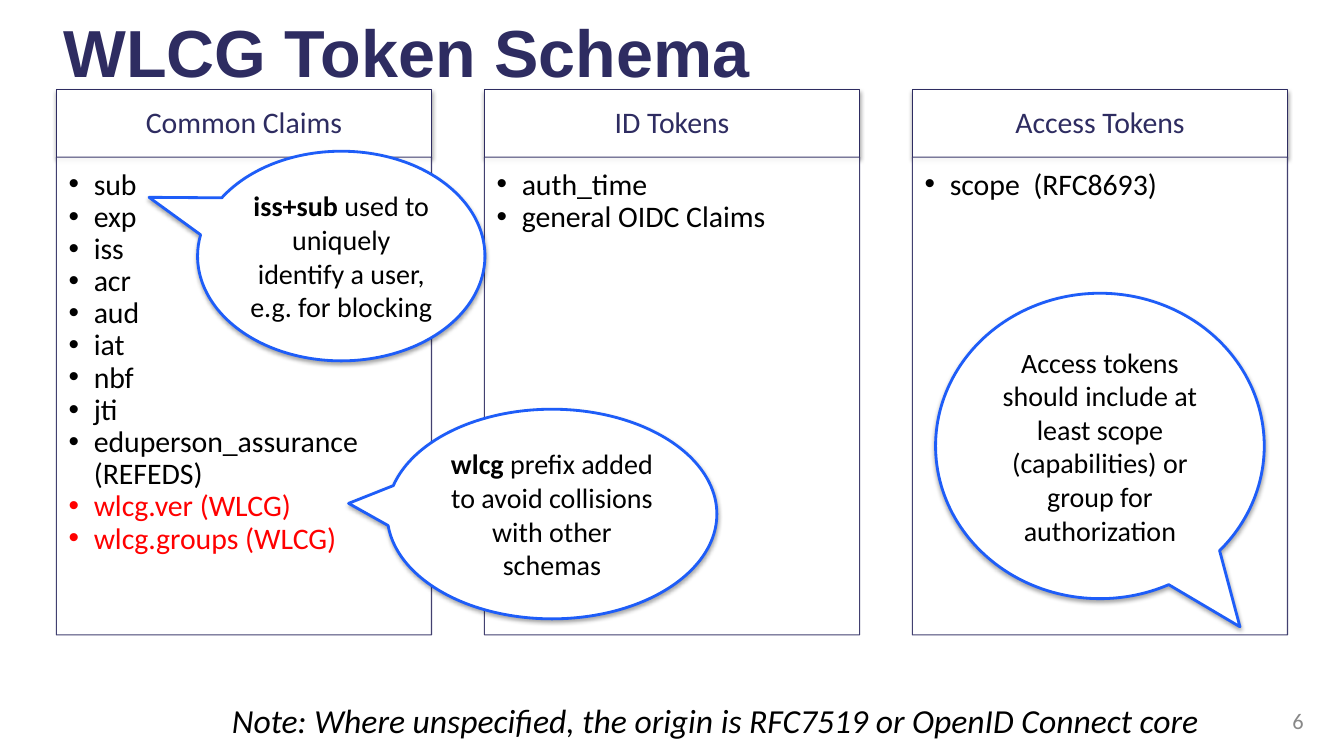
from lxml import etree
from pptx import Presentation
from pptx.dml.color import RGBColor
from pptx.enum.shapes import MSO_SHAPE as SHAPE
from pptx.enum.text import MSO_ANCHOR as ANCHOR, PP_ALIGN as ALIGN
from pptx.oxml import parse_xml
from pptx.oxml.ns import nsdecls, qn
from pptx.util import Inches, Pt

NAVY, BLUE, BLACK, RED, GREY, WHITE = "2E2C61", "1E5DF8", "000000", "FF0000", "888888", "FFFFFF"


def box(kind, at, line, width, shadow=False):
    """White outlined shape, with an optional soft shadow below it."""
    sp = s.shapes.add_shape(kind, *map(Inches, at))
    sp.fill.solid()
    sp.fill.fore_color.rgb = RGBColor.from_string(WHITE)
    sp.line.color.rgb = RGBColor.from_string(line)
    sp.line.width = Pt(width)
    sp.shadow.inherit = False
    if shadow:
        sp._element.spPr.find(qn("a:effectLst")).append(parse_xml(
            f'<a:outerShdw {nsdecls("a")} blurRad="{Pt(3)}" dist="{Pt(1.8)}" dir="5400000" rotWithShape="0">'
            '<a:srgbClr val="000000"><a:alpha val="34000"/></a:srgbClr></a:outerShdw>'))
    return sp


def write(sp, paras, size, align=ALIGN.LEFT, anchor=ANCHOR.MIDDLE, font="Calibri",
          insets=(0.07, 0.07, 0.07, 0.07), spacing=None):
    """Fill a shape with paragraphs, each a (colour, runs) pair."""
    tf = sp.text_frame
    tf.word_wrap = True
    tf.vertical_anchor = anchor
    tf.margin_left, tf.margin_top, tf.margin_right, tf.margin_bottom = map(Inches, insets)
    for i, (color, runs) in enumerate(paras):
        p = tf.add_paragraph() if i else tf.paragraphs[0]
        p.alignment = align
        if spacing:
            p.line_spacing = spacing
        p.font.size, p.font.name = Pt(size), font
        p.font.color.rgb = RGBColor.from_string(color)
        for text in runs:
            p.add_run().text = text
    return tf.paragraphs


prs = Presentation()
prs.slide_width, prs.slide_height = Inches(13.33), Inches(7.5)
s = prs.slides.add_slide(prs.slide_layouts[6])

# Three columns: header above a bulleted list
LEFT, TOP, COL_W, PITCH, HEAD_H, BODY_H = 0.56, 0.89, 3.72, 4.245, 0.67, 4.74
columns = [
    ("Common Claims", ["sub", "exp", "iss", "acr", "aud", "iat", "nbf", "jti",
                       "eduperson_assurance (REFEDS)", "wlcg.ver (WLCG)", "wlcg.groups (WLCG)"]),
    ("ID Tokens", ["auth_time", "general OIDC Claims"]),
    ("Access Tokens", ["scope  (RFC8693)"]),
]
for i, (heading, claims) in enumerate(columns):
    x = LEFT + i * PITCH
    head = box(SHAPE.RECTANGLE, (x, TOP, COL_W, HEAD_H), NAVY, 0.75, shadow=True)
    write(head, [(NAVY, [heading])], 21.3, ALIGN.CENTER, insets=(0.17, 0.09, 0.17, 0.09), spacing=0.9)

    body = box(SHAPE.RECTANGLE, (x, TOP + HEAD_H, COL_W, BODY_H), NAVY, 0.75)
    for color in body._element.spPr.iter(qn("a:srgbClr")):
        etree.SubElement(color, qn("a:alpha")).set("val", "89000")
    paras = [(RED if c.startswith("wlcg") else BLACK, [c]) for c in claims]
    for p, (color, _) in zip(write(body, paras, 21.3, anchor=ANCHOR.TOP,
                                   insets=(0.12, 0.12, 0.17, 0.19), spacing=0.9), paras):
        p.level = 1
        pPr = p._p.get_or_add_pPr()
        pPr.set("marL", str(Inches(0.25)))
        pPr.set("indent", str(-Inches(0.25)))
        for bullet in (f'<a:buClr {nsdecls("a")}><a:srgbClr val="{color}"/></a:buClr>',
                       f'<a:buFont {nsdecls("a")} typeface="Arial"/>',
                       f'<a:buChar {nsdecls("a")} char="•"/>'):
            pPr.find(qn("a:defRPr")).addprevious(parse_xml(bullet))

# Title, note and slide number
texts = [
    ((0.56, 0.09, 11.56, 0.83), "WLCG Token Schema", NAVY, 47.5, ALIGN.LEFT, "Arial"),
    ((2.23, 6.87, 9.97, 0.54), "Note: Where unspecified, the origin is RFC7519 or OpenID Connect core",
     BLACK, 24, ALIGN.LEFT, "Calibri"),
    ((12.62, 6.95, 0.38, 0.39), "6", GREY, 16, ALIGN.RIGHT, "Calibri"),
]
title, note, number = [
    write(s.shapes.add_textbox(*map(Inches, at)), [(color, [text])], size, align, font=font)[0]
    for at, text, color, size, align, font in texts]
title.font.bold = True
note.font.italic = True

# Callouts: place, pointer tip, bold lead, text
callouts = [
    ((9.28, 2.91, 3.26, 3.03), (0.426, 0.592), "",
     "Access tokens should include at least scope (capabilities) or group for authorization"),
    ((3.84, 4.06, 3.27, 2.08), (-0.617, -0.051), "wlcg",
     " prefix added to avoid collisions with other schemas"),
    ((1.96, 1.5, 2.85, 2.08), (-0.669, -0.28), "iss+sub ",
     "used to uniquely identify a user, e.g. for blocking"),
]
for at, tip, lead, text in callouts:
    sp = box(SHAPE.OVAL_CALLOUT, at, BLUE, 2, shadow=True)
    sp.adjustments[0], sp.adjustments[1] = tip
    p = write(sp, [(BLACK, [t for t in (lead, text) if t])], 20, ALIGN.CENTER)[0]
    if lead:
        p.runs[0].font.bold = True

prs.save("out.pptx")
